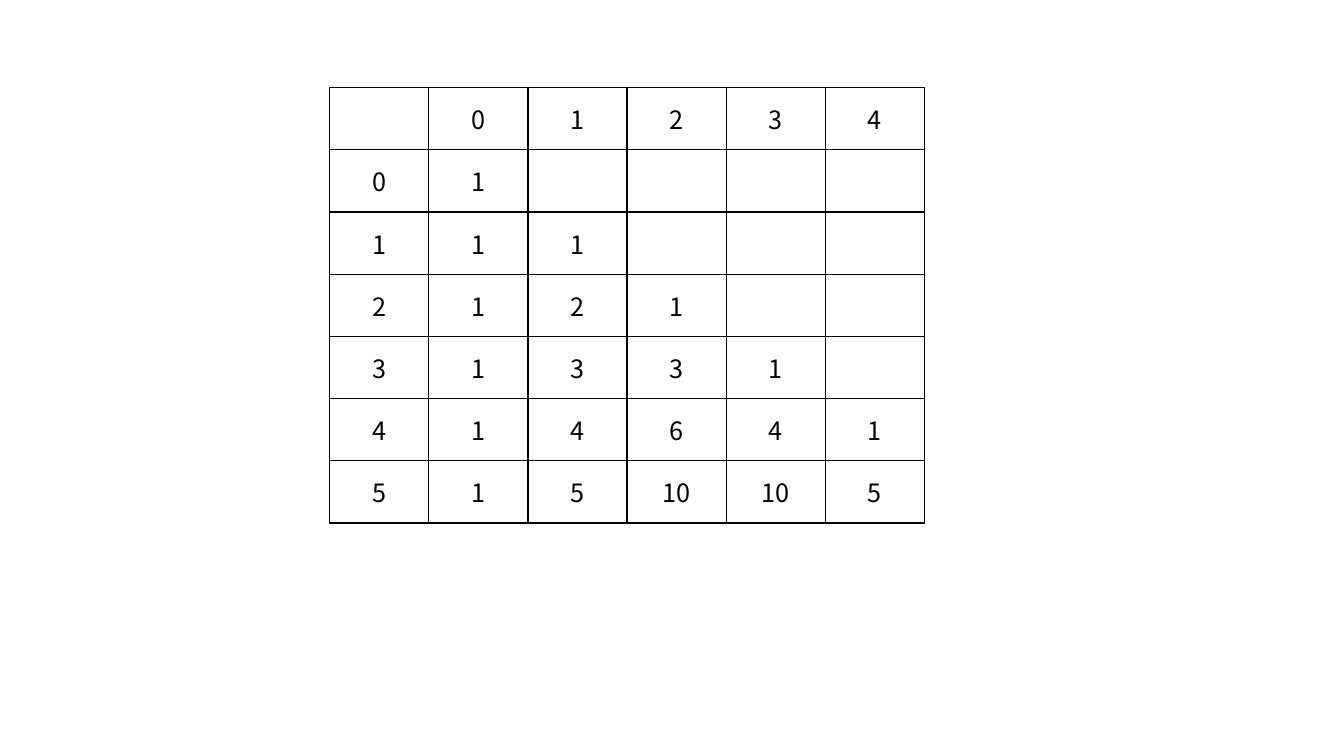
"""Builds a slide with a table of binomial coefficients."""
from math import comb

from lxml import etree
from pptx import Presentation
from pptx.dml.color import RGBColor
from pptx.enum.text import MSO_ANCHOR, PP_ALIGN
from pptx.oxml.ns import qn
from pptx.util import Inches, Pt

CENTER = PP_ALIGN.CENTER
MIDDLE = MSO_ANCHOR.MIDDLE
COLORS = {"text": "000000", "border": "000000", "cell": "FFFFFF"}
BLANK_LAYOUT = 6


class SlideBuilder:
    """Holds the style and the current slide."""

    font = "Noto Sans CJK SC"
    size = Pt(18)
    border_width = Pt(1)

    def __init__(self, slide):
        """Keep the slide to draw on."""
        self.slide = slide

    def add_borders(self, cell):
        """Draw a solid line on each side of a cell."""
        properties = cell._tc.get_or_add_tcPr()
        for side in ("a:lnL", "a:lnR", "a:lnT", "a:lnB"):
            line = etree.SubElement(properties, qn(side), w=str(self.border_width))
            fill = etree.SubElement(line, qn("a:solidFill"))
            etree.SubElement(fill, qn("a:srgbClr"), val=COLORS["border"])

    def add_text(self, cell, text):
        """Write one centred run in a cell."""
        paragraph = cell.text_frame.paragraphs[0]
        paragraph.alignment = CENTER
        run = paragraph.add_run()
        run.text = text
        run.font.name = self.font
        run.font.size = self.size
        run.font.bold = False
        run.font.color.rgb = RGBColor.from_string(COLORS["text"])

    def add_table(self, rows, left, top, width, height):
        """Add a plain bordered table with equal rows and columns."""
        frame = self.slide.shapes.add_table(
            len(rows), len(rows[0]), left, top, width, height
        )
        table = frame.table
        table.first_row = False
        table.horz_banding = False
        for row_index, row in enumerate(rows):
            for column_index, text in enumerate(row):
                cell = table.cell(row_index, column_index)
                cell.vertical_anchor = MIDDLE
                self.add_borders(cell)
                cell.fill.solid()
                cell.fill.fore_color.rgb = RGBColor.from_string(COLORS["cell"])
                if text:
                    self.add_text(cell, text)


def binomial_rows(row_count, column_count):
    """Return the header and the coefficients, blank above the diagonal."""
    header = [""] + [str(k) for k in range(column_count)]
    body = [
        [str(n)] + [str(comb(n, k)) if k <= n else "" for k in range(column_count)]
        for n in range(row_count)
    ]
    return [header] + body


presentation = Presentation()
presentation.slide_width = Inches(13.33)
presentation.slide_height = Inches(7.5)
slide = presentation.slides.add_slide(presentation.slide_layouts[BLANK_LAYOUT])
builder = SlideBuilder(slide)
builder.add_table(
    binomial_rows(6, 5), Inches(3.27), Inches(0.87), Inches(5.9), Inches(4.32)
)
presentation.save("out.pptx")
